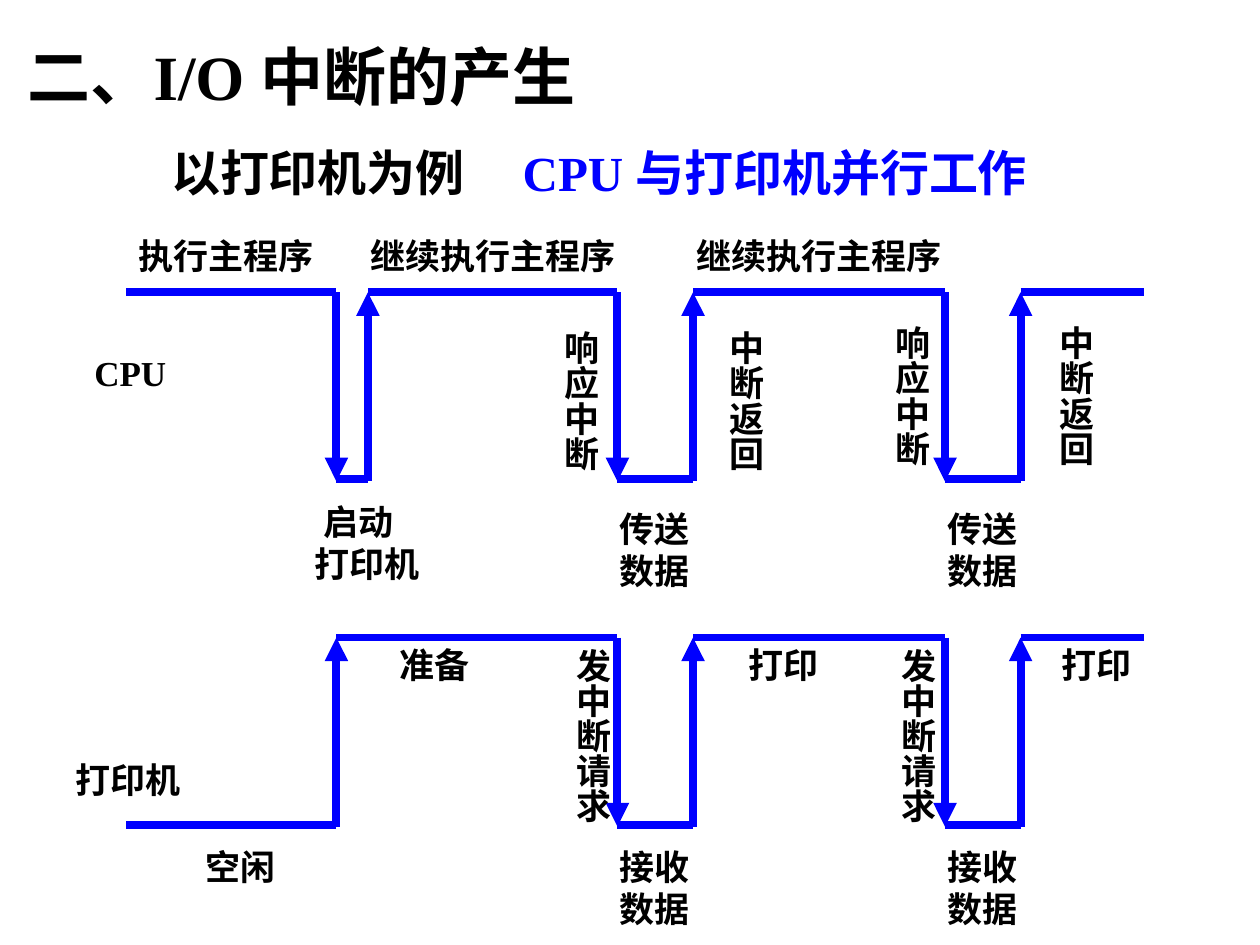
from dataclasses import dataclass
from itertools import pairwise

from lxml.etree import SubElement
from pptx import Presentation
from pptx.dml.color import RGBColor as Rgb
from pptx.enum.shapes import MSO_CONNECTOR as Link
from pptx.enum.text import MSO_AUTO_SIZE as Fit
from pptx.oxml.ns import qn
from pptx.util import Inches, Pt


@dataclass(frozen=True)
class Theme:
    font: str = "Times New Roman"
    ink: Rgb = Rgb(0, 0, 0)
    blue: Rgb = Rgb(0, 0, 255)
    title: int = 36
    lead: int = 28
    label: int = 20
    line: float = 4.5


@dataclass(frozen=True)
class Box:
    """Region of the slide, in cells of a 100 by 75 grid."""
    left: float
    top: float
    width: float
    height: float

    def at(self, col, row):
        return Inches((self.left + col) / 10), Inches((self.top + row) / 10)


LOOK = Theme()
LOW_LIFT = 0.15
PULSES = (39, 45, 65, 71)


def write(slide, box, place, text, size=LOOK.label, color=LOOK.ink,
          upright=False, indent=0):
    """Place text at (col, row, width, height) within the box.

    The inset at the end of the line is zero, so each line fits unbroken.
    """
    col, row, wide, high = place
    shape = slide.shapes.add_textbox(*box.at(col, row),
                                     Inches(wide / 10), Inches(high / 10))
    frame = shape.text_frame
    frame.word_wrap = True
    frame.auto_size = Fit.NONE
    frame.margin_left = Inches(0.05 if upright else 0.1)
    frame.margin_right = Inches(0.05 if upright else 0)
    frame.margin_top = Inches(0.05)
    frame.margin_bottom = Inches(0 if upright else 0.05)
    if upright:
        frame._txBody.bodyPr.set("vert", "eaVert")
    for i, part in enumerate(text.split("\n")):
        para = frame.add_paragraph() if i else frame.paragraphs[0]
        if indent and not i:
            para._p.get_or_add_pPr().set("indent", str(Inches(indent / 10)))
        run = para.add_run()
        run.text = part
        font = run.font
        font.name, font.size, font.bold = LOOK.font, Pt(size), True
        font.color.rgb = color


def stroke(slide, box, start, end, arrow=False):
    line = slide.shapes.add_connector(Link.STRAIGHT, *box.at(*start),
                                      *box.at(*end))
    line.line.color.rgb = LOOK.blue
    line.line.width = Pt(LOOK.line)
    if arrow:
        SubElement(line.line._get_or_add_ln(), qn("a:tailEnd"),
                   type="triangle")
    SubElement(line._element.spPr, qn("a:effectLst"))


def wave(slide, box, edges, high):
    """Draw a level line that flips, with an arrow, at each edge column."""
    for start, end in pairwise((0, *edges, box.width)):
        row = 0 if high else box.height - LOW_LIFT
        stroke(slide, box, (start, row), (end, row))
        if end != box.width:
            rows = (0, box.height) if high else (box.height, 0)
            stroke(slide, box, (end, rows[0]), (end, rows[1]), True)
        high = not high


def heads(slide, box):
    write(slide, box, (0, 0, 47.8, 7), "二、I/O 中断的产生", LOOK.title)
    write(slide, box, (11.4, 8.3, 25.3, 5.7), "以打印机为例", LOOK.lead)
    write(slide, box, (39.3, 8.3, 42.9, 5.7), "CPU 与打印机并行工作",
          LOOK.lead, LOOK.blue)


def cpu(slide, box):
    wave(slide, box, (16.7, 19.2, *PULSES), True)
    write(slide, box, (-3.5, 4.2, 7.7, 4.4), "CPU")
    write(slide, box, (0, -5.1, 15.9, 4.4), "执行主程序")
    for col in (18.4, 44.3):
        write(slide, box, (col, -5.05, 21.5, 4.4), "继续执行主程序")
    for col, row in ((33, 2.1), (59.2, 1.7)):
        write(slide, box, (col, row, 5.3, 12.2), "响应中断", upright=True)
        write(slide, box, (col + 13.05, row, 5.3, 12.2), "中断返回",
              upright=True)
    write(slide, box, (14, 16, 10.3, 7.7), "启动\n打印机", indent=0.7)
    for col in (38.2, 64.2):
        write(slide, box, (col, 16.6, 7.5, 7.7), "传送\n数据")


def printer(slide, box):
    wave(slide, box, (16.7, *PULSES), False)
    write(slide, box, (-5, 9.1, 10.3, 4.4), "打印机")
    write(slide, box, (5.3, 16, 7.5, 4.4), "空闲")
    for col, text in ((20.7, "准备"), (48.4, "打印"), (73.3, "打印")):
        write(slide, box, (col, 0, 7.5, 4.4), text)
    for col in (33.9, 59.7):
        write(slide, box, (col, -0.1, 5.3, 14.9), "发中断请求", upright=True)
    for col in (38.2, 64.2):
        write(slide, box, (col, 16, 7.5, 7.7), "接收\n数据")


def main():
    deck = Presentation()
    deck.slide_width, deck.slide_height = Inches(10), Inches(7.5)
    slide = deck.slides.add_slide(deck.slide_layouts[6])
    heads(slide, Box(1.2, 2.5, 82.2, 14))
    cpu(slide, Box(10, 23.2, 80.8, 15))
    printer(slide, Box(10, 50.6, 80.8, 15))
    deck.save("out.pptx")


if __name__ == "__main__":
    main()
